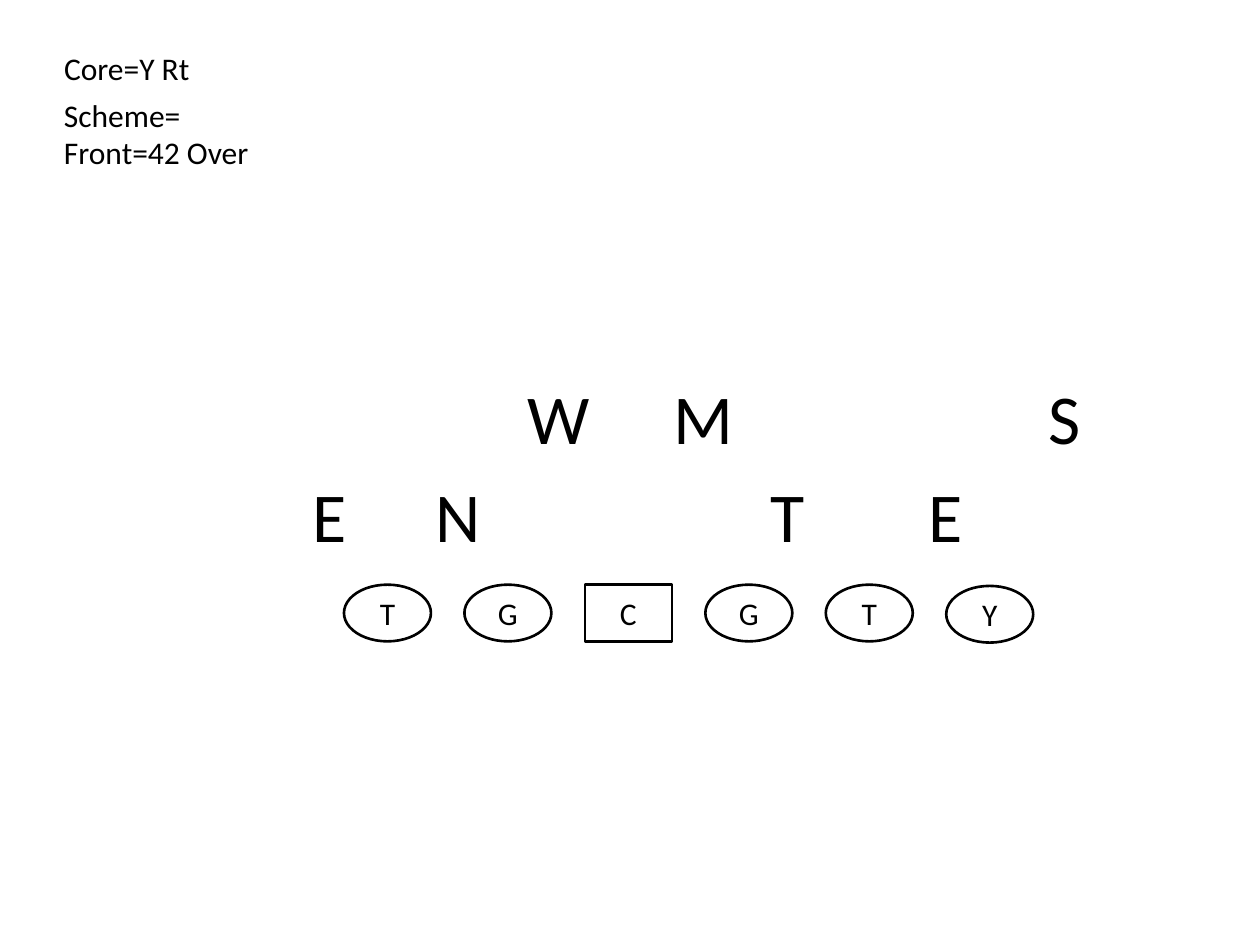
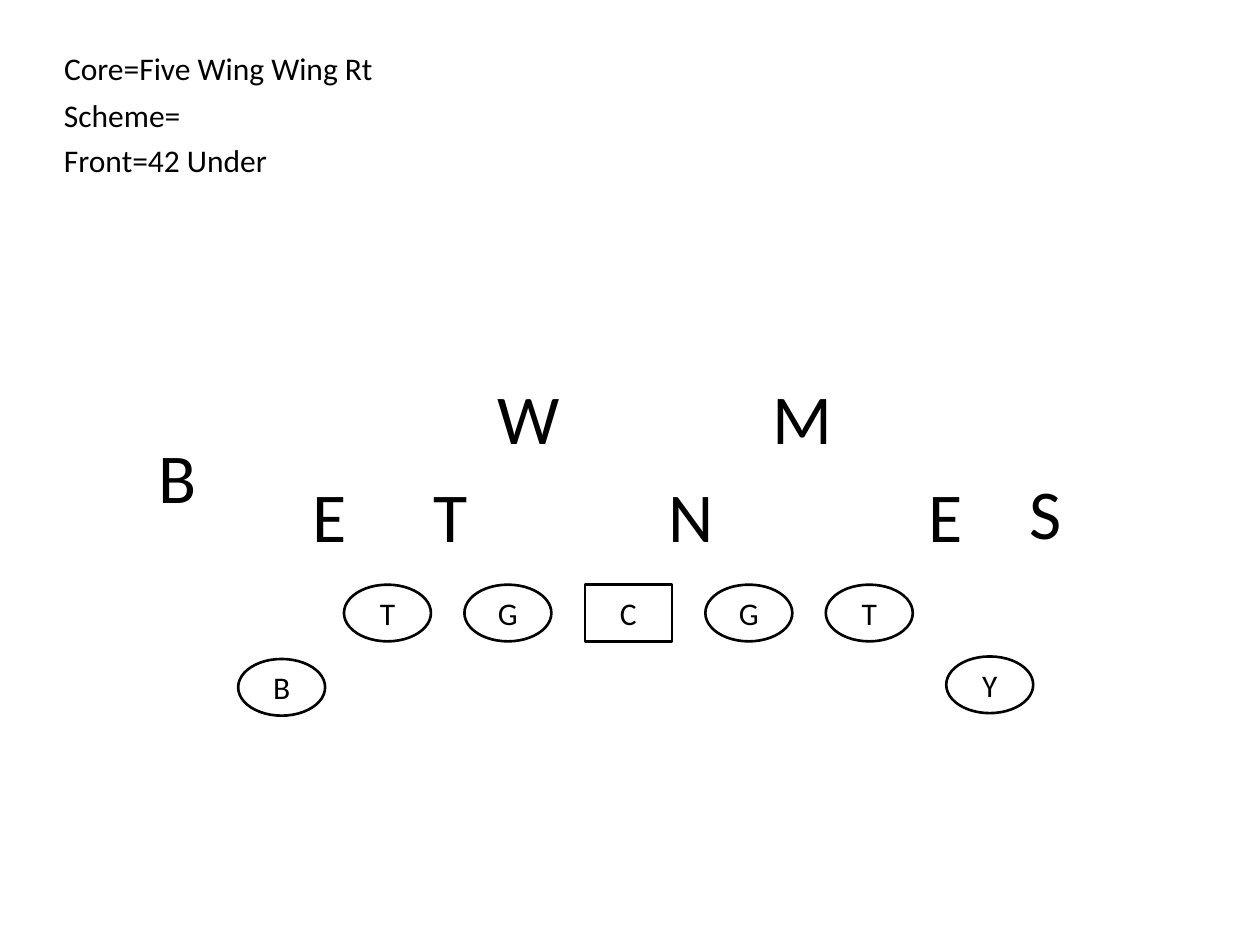
from pptx import Presentation
from pptx.dml.color import RGBColor
from pptx.enum import shapes, text
from pptx.util import Inches, Pt

HUES = {"ink": "000000", "paper": "FFFFFF"}
FONT = "Calibri"
NOTES = (0.41, 0.34)
FIELD = (1.16, 2.92)
LINE = (2.73, 4.64, 5.47, 0.45)
SPOT = 0.69
WIDE = {"W": 0.7, "M": 0.7, "N": 0.56, "B": 0.51}

PLAYS = [
    {
        "notes": [("Core=Y Rt", 0, 1.21), ("Scheme=", 0.37, 1.14),
                  ("Front=42 Over", 0.67, 1.74)],
        "backs": [("W", 2.93, 0), ("M", 4.09, 0), ("S", 7.06, 0),
                  ("E", 1.22, 0.78), ("N", 2.2, 0.78),
                  ("T", 4.86, 0.78), ("E", 6.11, 0.78)],
        "wings": [("Y", 4.78, 0.01)],
    },
    {
        "notes": [("Core=Five Wing Wing Rt", 0, 2.68), ("Scheme=", 0.37, 1.14),
                  ("Front=42 Under", 0.73, 1.83)],
        "backs": [("W", 2.69, 0), ("M", 4.87, 0), ("B", 0, 0.47),
                  ("E", 1.22, 0.78), ("T", 2.18, 0.78), ("N", 4.05, 0.78),
                  ("E", 6.11, 0.78), ("S", 6.91, 0.76)],
        "wings": [("B", -0.84, 0.59), ("Y", 4.78, 0.57)],
    },
]


def hue(name):
    return RGBColor.from_string(HUES[name])


def write(frame, words, size):
    para = frame.paragraphs[0]
    para.text = words
    para.font.name = FONT
    para.font.size = Pt(size)
    para.font.color.rgb = hue("ink")
    return para


def label(slide, words, left, top, width, height, size):
    box = slide.shapes.add_textbox(
        Inches(left), Inches(top), Inches(width), Inches(height))
    box.text_frame.word_wrap = False
    box.text_frame.auto_size = text.MSO_AUTO_SIZE.SHAPE_TO_FIT_TEXT
    write(box.text_frame, words, size)


def player(slide, role, left, top, height):
    kind = shapes.MSO_SHAPE.RECTANGLE if role == "C" else shapes.MSO_SHAPE.OVAL
    spot = slide.shapes.add_shape(
        kind, Inches(left), Inches(top), Inches(SPOT), Inches(height))
    spot.shadow.inherit = False
    spot.fill.solid()
    spot.fill.fore_color.rgb = hue("paper")
    spot.line.color.rgb = hue("ink")
    spot.line.width = Pt(1.5)
    spot.text_frame.vertical_anchor = text.MSO_ANCHOR.MIDDLE
    write(spot.text_frame, role, 18).alignment = text.PP_ALIGN.CENTER


def add_notes(slide, box, notes):
    left, top = box
    for words, drop, width in notes:
        label(slide, words, left, top + drop, width, 0.4, 18)


def defense(slide, box, backs):
    left, top = box
    for role, across, down in backs:
        label(slide, role, left + across, top + down,
              WIDE.get(role, 0.48), 0.77, 40)


def offense(slide, box, wings):
    left, top, width, height = box
    step = (width - SPOT) / 5
    for slot, role in enumerate("TGCGT"):
        player(slide, role, left + slot * step, top, height)
    for role, across, down in wings:
        player(slide, role, left + across, top + down, height)


def main():
    deck = Presentation()
    deck.slide_width, deck.slide_height = Inches(10), Inches(7.5)
    for play in PLAYS:
        slide = deck.slides.add_slide(deck.slide_layouts.get_by_name("Blank"))
        add_notes(slide, NOTES, play["notes"])
        offense(slide, LINE, play["wings"])
        defense(slide, FIELD, play["backs"])
    deck.save("out.pptx")


if __name__ == "__main__":
    main()
